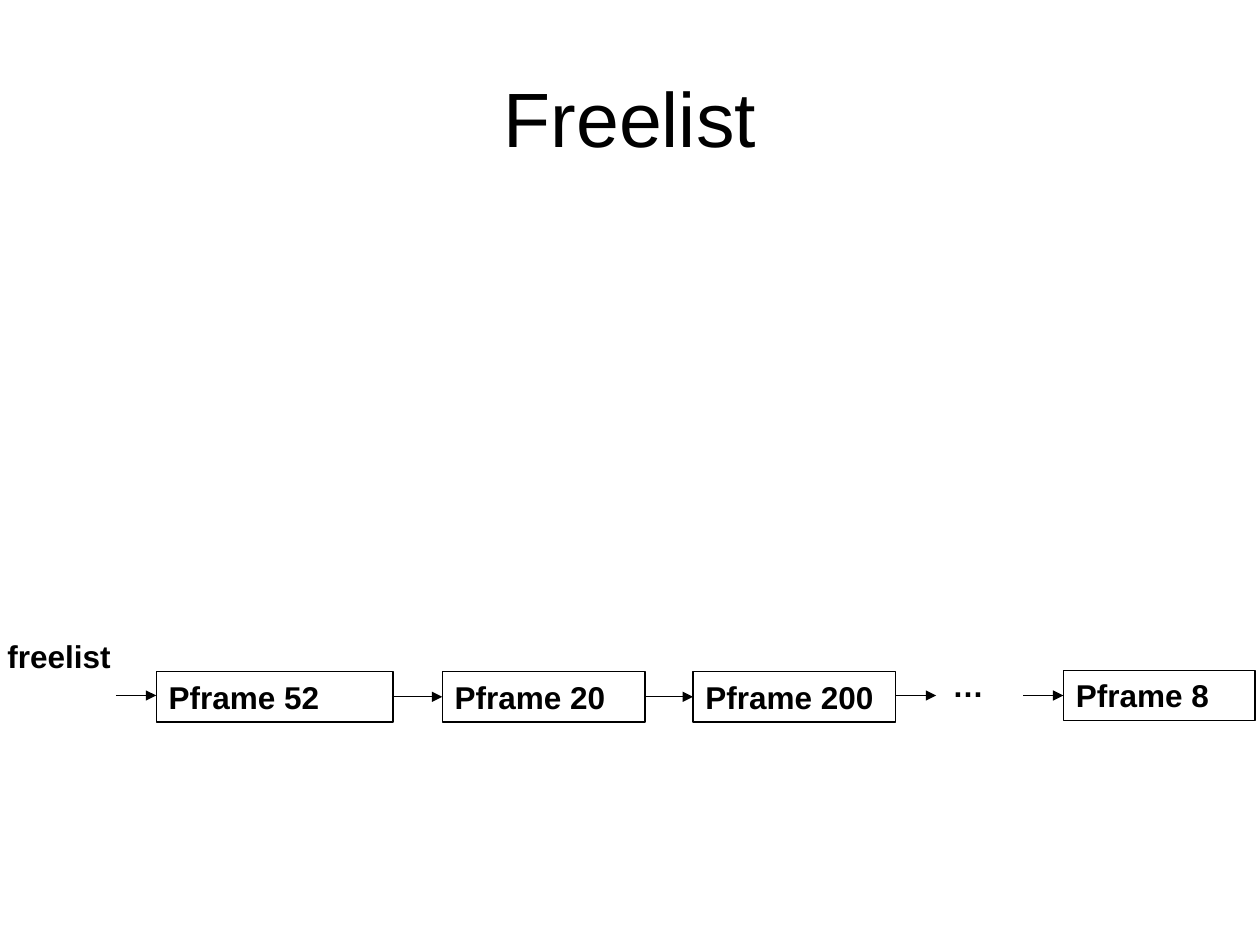
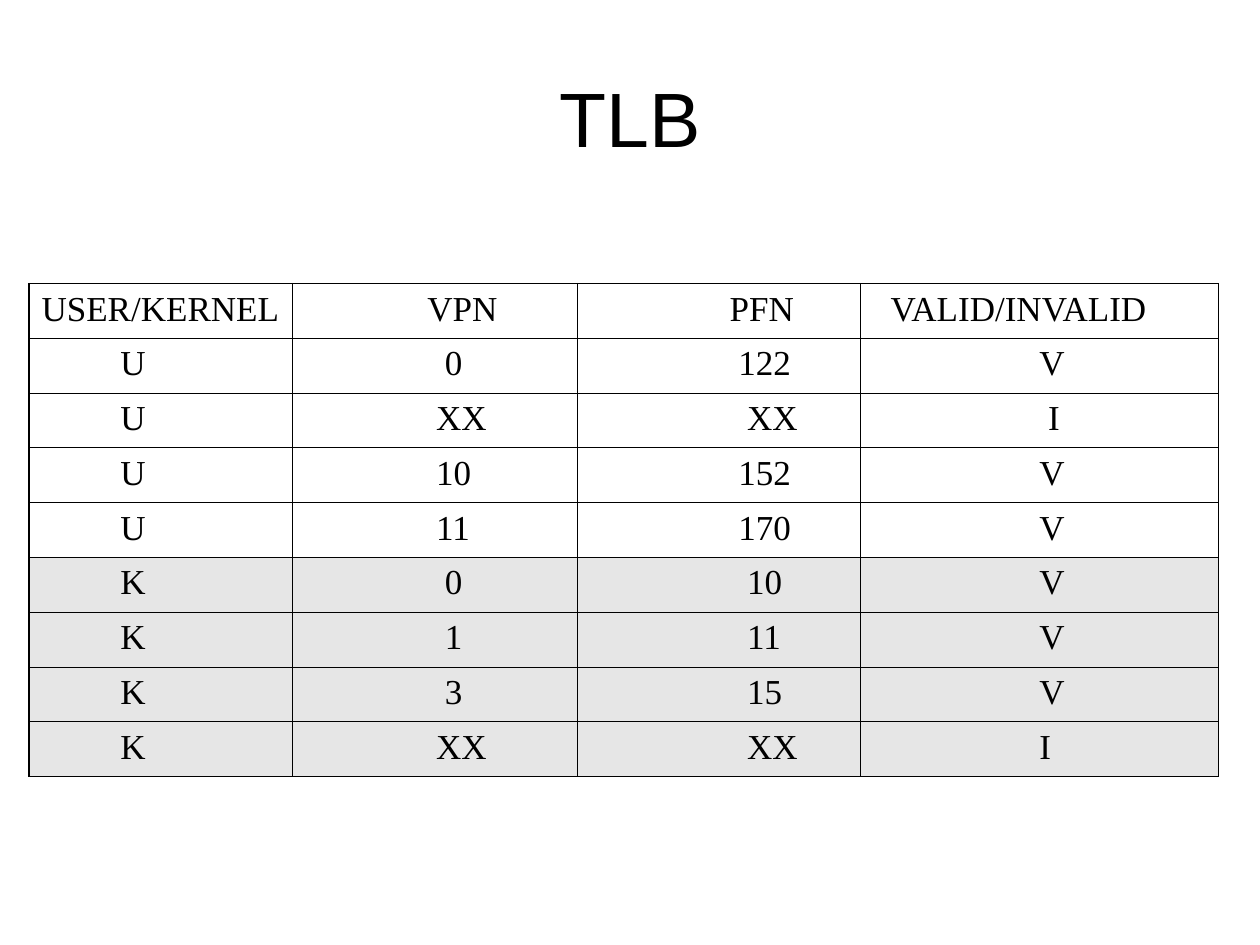
from lxml import etree
from pptx import Presentation
from pptx.dml.color import RGBColor
from pptx.enum.shapes import MSO_CONNECTOR, MSO_SHAPE
from pptx.enum.text import MSO_ANCHOR, PP_ALIGN
from pptx.oxml.ns import qn
from pptx.util import Inches, Pt

RECT = MSO_SHAPE.RECTANGLE
LINE = MSO_CONNECTOR.STRAIGHT
LEFT, MID = PP_ALIGN.LEFT, PP_ALIGN.CENTER
TOP, CENTER = MSO_ANCHOR.TOP, MSO_ANCHOR.MIDDLE

COLORS = {"ink": "000000", "kernel": "E6E6E6"}
SANS, SERIF = "Arial", "Times New Roman"

# Grid of 10 columns by 7.5 rows
WIDE, HIGH = Inches(10), Inches(7.5)
UNIT = WIDE // 10
BOX = 0.4  # rows taken by a box in the chain
SPACE = Pt(5)  # step of the cell indents

# Page frames: name, left, top, width
FRAMES = [
    ("Pframe 52", 1.24, 5.33, 1.88),
    ("Pframe 20", 3.51, 5.33, 1.61),
    ("Pframe 200", 5.5, 5.33, 1.61),
    ("Pframe 8", 8.44, 5.32, 1.52),
]
# Arrows: start, end, height
ARROWS = [
    (0.92, 1.24, 5.52),
    (3.11, 3.51, 5.53),
    (5.12, 5.5, 5.53),
    (7.11, 7.43, 5.52),
    (8.12, 8.44, 5.52),
]

HEADS = ["USER/KERNEL", "VPN", "PFN", "VALID/INVALID"]
ENTRIES = [
    ("U", "0", "122", "V"),
    ("U", "XX", "XX", "I"),
    ("U", "10", "152", "V"),
    ("U", "11", "170", "V"),
    ("K", "0", "10", "V"),
    ("K", "1", "11", "V"),
    ("K", "3", "15", "V"),
    ("K", "XX", "XX", "I"),
]
COLS = [2.09, 2.26, 2.25, 2.84]
ROW = 0.435


def grid(*units):
    return [round(n * UNIT) for n in units]


def color(name):
    return RGBColor.from_string(COLORS[name])


def style(par, size, font, bold=False, align=LEFT):
    par.alignment = align
    for run in par.runs:
        run.font.size = Pt(size)
        run.font.name = font
        run.font.bold = bold
        run.font.color.rgb = color("ink")


def fill_text(shape, text, size, bold, align=LEFT, anchor=TOP, wrap=True):
    frame = shape.text_frame
    frame.word_wrap = wrap
    frame.vertical_anchor = anchor
    frame.text = text
    style(frame.paragraphs[0], size, SANS, bold, align)


def add_title(slide, text):
    box = slide.shapes.add_textbox(*grid(0.5, 0.3, 9, 1.25))
    fill_text(box, text, 44, False, MID, CENTER)


def add_label(slide, text, left, top, width):
    box = slide.shapes.add_textbox(*grid(left, top, width, BOX))
    fill_text(box, text, 18, True, wrap=False)


def add_frame(slide, text, left, top, width):
    box = slide.shapes.add_shape(RECT, *grid(left, top, width, BOX))
    box.shadow.inherit = False
    box.fill.background()
    box.line.color.rgb = color("ink")
    box.line.width = Pt(0.75)
    fill_text(box, text, 18, True)


def add_arrow(slide, start, end, y):
    link = slide.shapes.add_connector(LINE, *grid(start, y, end, y))
    link.line.color.rgb = color("ink")
    link.line.width = Pt(0.75)
    etree.SubElement(link.line._get_or_add_ln(), qn("a:tailEnd"), type="triangle")
    etree.SubElement(link._element.spPr, qn("a:effectLst"))


def set_edges(cell, widths):
    """Draw the left, right, top and bottom borders, in that order."""
    props = cell._tc.get_or_add_tcPr()
    for i, (side, width) in enumerate(zip("LRTB", widths)):
        edge = etree.Element(qn("a:ln" + side), w=str(Pt(width)))
        paint = etree.SubElement(edge, qn("a:solidFill"))
        etree.SubElement(paint, qn("a:srgbClr"), val=COLORS["ink"])
        props.insert(i, edge)


def set_cell(cell, text, indent, shade):
    cell.text = text
    par = cell.text_frame.paragraphs[0]
    par._p.get_or_add_pPr().set("marL", str(indent * SPACE))
    style(par, 20, SERIF)
    if shade:
        cell.fill.solid()
        cell.fill.fore_color.rgb = color("kernel")
    else:
        cell.fill.background()


def indents(entry, last):
    """Shorter values start further right; the last flag stays in line."""
    mode, page, frame, flag = entry
    return [9, 17 - len(page), 20 - len(frame), 20 if flag == "I" and not last else 19]


def add_buffer(slide):
    count = len(ENTRIES) + 1
    place = grid(0.23, 2.25, sum(COLS), ROW * count)
    table = slide.shapes.add_table(count, len(COLS), *place).table
    table.first_row = table.horz_banding = False
    for col, width in zip(table.columns, COLS):
        col.width = grid(width)[0]
    for row in table.rows:
        row.height = grid(ROW)[0]

    for r, entry in enumerate([HEADS] + ENTRIES):
        last = r == count - 1
        steps = indents(entry, last) if r else [0, 14, 16, 2]
        for c, (text, step) in enumerate(zip(entry, steps)):
            cell = table.cell(r, c)
            set_cell(cell, text, step, entry[0] == "K")
            outer = [c == 0, c == len(COLS) - 1, r == 0, last]
            set_edges(cell, [0.96 if side else 0.45 for side in outer])


def main():
    deck = Presentation()
    deck.slide_width, deck.slide_height = WIDE, HIGH
    blank = deck.slide_layouts[6]

    # Chain of free page frames
    slide = deck.slides.add_slide(blank)
    add_title(slide, "Freelist")
    add_label(slide, "freelist", -0.04, 5.01, 1.02)
    add_label(slide, "…", 7.46, 5.24, 0.45)
    for frame in FRAMES:
        add_frame(slide, *frame)
    for arrow in ARROWS:
        add_arrow(slide, *arrow)

    # Translation buffer
    slide = deck.slides.add_slide(blank)
    add_title(slide, "TLB")
    add_buffer(slide)

    deck.save("out.pptx")


if __name__ == "__main__":
    main()
